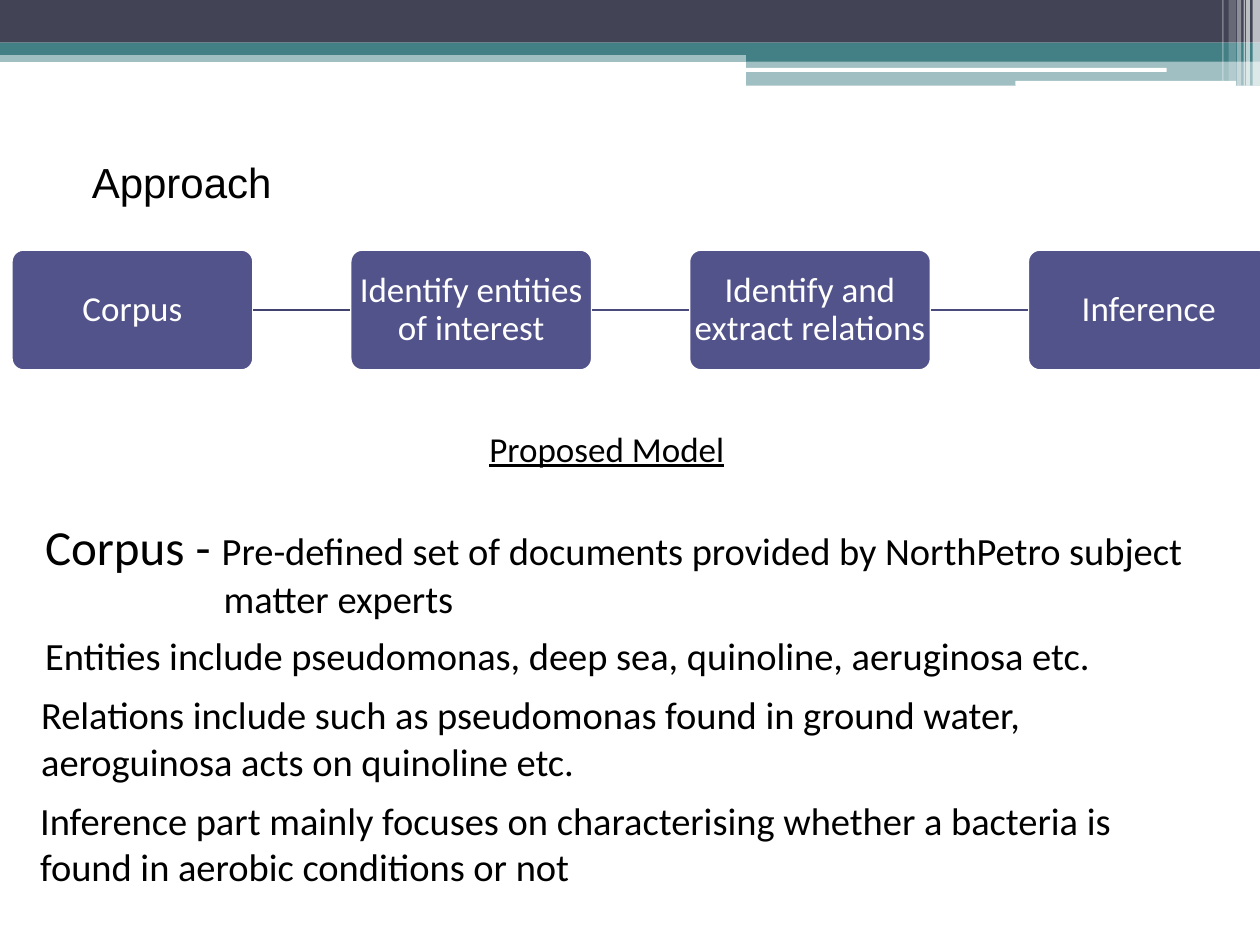
import pptx
import pptx.util
import pptx.dml.color
import pptx.enum.shapes
import pptx.enum.text
import pptx.oxml.ns
import lxml.etree

Cm = pptx.util.Cm
Pt = pptx.util.Pt
KIND = pptx.enum.shapes.MSO_SHAPE
ALIGN = pptx.enum.text.PP_ALIGN
ANCHOR = pptx.enum.text.MSO_ANCHOR
qn = pptx.oxml.ns.qn

HUES = {
    "teal": "438086", "slate": "424456", "white": "FFFFFF", "black": "000000",
    "box": "52538A", "dark": "41426D", "link": "4A4B7C",
}

BANDS = [
    (0, 1.02, 25.4, 0.23, "teal", 50),
    (0, 0, 25.4, 0.86, "slate", 100),
    (0, 0.86, 25.4, 0.25, "teal", 100),
    (15.04, 0.99, 10.36, 0.25, "teal", 100),
    (15.04, 1.22, 10.36, 0.51, "teal", 50),
]
PILLS = [
    (15.01, 1.37, 8.51, 0.08, "white", 100),
    (20.47, 1.63, 4.45, 0.1, "white", 100),
]
STRIPES = [
    (25.25, 0, 0.15, 1.73, "white", 65),
    (25.12, 0, 0.08, 1.73, "white", 65),
    (25.07, 0, 0.03, 1.73, "white", 60),
    (24.94, 0, 0.08, 1.73, "white", 40),
    (24.77, 0, 0.15, 1.63, "white", 20),
    (24.64, 0, 0.03, 1.63, "white", 30),
]

TITLE = "Approach"
STEPS = ["Corpus", "Identify entities of interest",
         "Identify and extract relations", "Inference"]
LINKS = ["dark", "link", "link"]
MODEL = "Proposed Model"
NOTES = [
    (0.66, 10.62, 23.88, 1.7, ANCHOR.MIDDLE, 3.6,
     [("Corpus - ", 28),
      ("Pre-defined set of documents provided by NorthPetro subject matter experts", 22)]),
    (0.66, 12.5, 23.67, 1.7, ANCHOR.TOP, 0,
     [("Entities include pseudomonas, deep sea, quinoline, aeruginosa etc.", 22)]),
    (0.58, 13.69, 22.02, 1.37, ANCHOR.TOP, 0,
     [("Relations include such as pseudomonas found in ground water, "
       "aeroguinosa acts on quinoline etc.", 22)]),
    (0.56, 15.82, 23.29, 1.7, ANCHOR.TOP, 0,
     [("Inference part mainly focuses on characterising whether a bacteria is "
       "found in aerobic conditions or not", 22)]),
]

LEFT, TOP, WIDE, HIGH, STEP = 0.23, 5.03, 4.88, 2.44, 6.83


def hue(name):
    return pptx.dml.color.RGBColor.from_string(HUES[name])


def add_block(slide, kind, spot, fill, alpha=100):
    block = slide.shapes.add_shape(kind, *map(Cm, spot))
    block.shadow.inherit = False
    block.fill.solid()
    block.fill.fore_color.rgb = hue(fill)
    block.line.fill.background()
    if alpha < 100:
        tint = block.fill._xPr.find(".//" + qn("a:srgbClr"))
        lxml.etree.SubElement(tint, qn("a:alpha")).set("val", str(alpha * 1000))
    return block


def set_text(shape, runs, font="Calibri", ink="black", align=ALIGN.LEFT,
             anchor=ANCHOR.TOP, side=0.25, edge=0.25):
    frame = shape.text_frame
    frame.word_wrap = True
    frame.auto_size = pptx.enum.text.MSO_AUTO_SIZE.NONE
    frame.vertical_anchor = anchor
    frame.margin_left = frame.margin_right = Cm(side)
    frame.margin_top = frame.margin_bottom = Cm(edge)
    para = frame.paragraphs[0]
    para.alignment = align
    for words, size in runs:
        run = para.add_run()
        run.text = words
        run.font.name = font
        run.font.size = Pt(size)
        run.font.color.rgb = hue(ink)
    return para


def add_text(slide, spot, runs, **look):
    return set_text(slide.shapes.add_textbox(*map(Cm, spot)), runs, **look)


def add_flow(slide):
    boxes = []
    for index, words in enumerate(STEPS):
        spot = (LEFT + index * STEP, TOP, WIDE, HIGH)
        box = add_block(slide, KIND.ROUNDED_RECTANGLE, spot, "box")
        box.adjustments[0] = 0.1
        box.line.color.rgb = hue("white")
        box.line.width = Pt(1.5)
        para = set_text(box, [(words, 20)], ink="white", align=ALIGN.CENTER,
                        anchor=ANCHOR.MIDDLE, side=0, edge=0)
        para.line_spacing = 0.9
        boxes.append(box)
    for start, end, ink in zip(boxes, boxes[1:], LINKS):
        link = slide.shapes.add_connector(
            pptx.enum.shapes.MSO_CONNECTOR.STRAIGHT, 0, 0, 0, 0)
        link.begin_connect(start, 3)
        link.end_connect(end, 1)
        link.line.color.rgb = hue(ink)
        link.line.width = Pt(1.5)
        lxml.etree.SubElement(link._element.spPr, qn("a:effectLst"))


def main():
    deck = pptx.Presentation()
    deck.slide_width, deck.slide_height = Cm(25.4), Cm(19.05)
    slide = deck.slides.add_slide(deck.slide_layouts[5])

    for kind, parts in ((KIND.RECTANGLE, BANDS),
                        (KIND.ROUNDED_RECTANGLE, PILLS),
                        (KIND.RECTANGLE, STRIPES)):
        for *spot, fill, alpha in parts:
            add_block(slide, kind, spot, fill, alpha)

    add_flow(slide)
    model = add_text(slide, (1.12, 8.48, 22.23, 1.12), [(MODEL, 20)],
                     align=ALIGN.CENTER, edge=0.13)
    model.runs[0].font.underline = True

    title = slide.shapes.title
    title.left, title.top, title.width, title.height = map(Cm, (1.6, 2.9, 4.93, 1.12))
    set_text(title, [(TITLE, 24)], font="Arial")

    for *spot, anchor, hang, runs in NOTES:
        para = add_text(slide, spot, runs, anchor=anchor)
        if hang:
            props = para._p.get_or_add_pPr()
            props.set("marL", str(Cm(hang)))
            props.set("indent", str(-Cm(hang)))

    deck.save("out.pptx")


if __name__ == "__main__":
    main()
